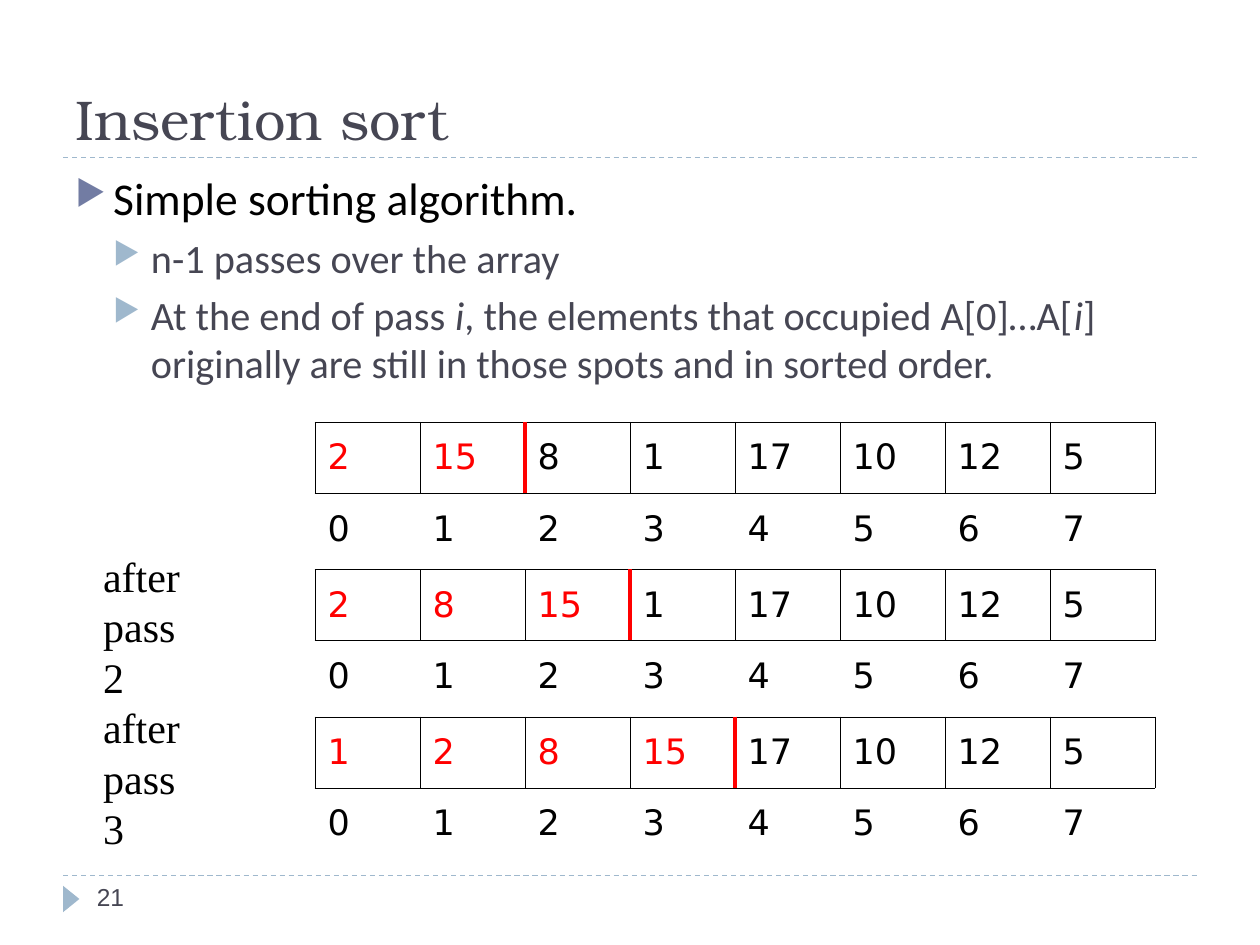
from dataclasses import dataclass

from lxml.etree import SubElement
from pptx import Presentation
from pptx.dml.color import RGBColor
from pptx.enum.dml import MSO_LINE
from pptx.enum.shapes import MSO_CONNECTOR, MSO_SHAPE
from pptx.enum.text import MSO_ANCHOR
from pptx.oxml.ns import qn
from pptx.util import Inches, Pt

BLACK, RED, SLATE = "000000", "FF0000", "464653"
BLUE, VIOLET = "9FB8CD", "727CA3"


@dataclass
class Item:
    """A bullet; every second one of its texts is italic."""
    texts: list[str]
    level: int
    size: int
    color: str
    mark: str
    before: int


@dataclass
class Stage:
    """The array after one pass; the first `done` values are in order."""
    values: list[int]
    done: int
    label: list[str]


ITEMS = [
    Item(["Simple sorting algorithm."], 0, 26, BLACK, VIOLET, 6),
    Item(["n-1 passes over the array"], 1, 23, SLATE, BLUE, 5),
    Item(["At the end of pass ", "i", ", the elements that occupied A[0]…A[", "i",
          "] originally are still in those spots and in sorted order."],
         1, 23, SLATE, BLUE, 5),
]
STAGES = [
    Stage([2, 15, 8, 1, 17, 10, 12, 5], 2, []),
    Stage([2, 8, 15, 1, 17, 10, 12, 5], 3, ["after", "pass 2"]),
    Stage([1, 2, 8, 15, 17, 10, 12, 5], 4, ["after", "pass 3"]),
]


def paint(color: str) -> RGBColor:
    return RGBColor.from_string(color)


def write(para, text: str, *, size: int, font: str, color: str = BLACK,
          italic: bool = False) -> None:
    run = para.add_run()
    run.text = text
    run.font.size = Pt(size)
    run.font.name = font
    run.font.italic = italic
    run.font.color.rgb = paint(color)


def add_box(slide, left: float, top: float, width: float, height: float,
            wrap: bool = True):
    box = slide.shapes.add_textbox(
        Inches(left), Inches(top), Inches(width), Inches(height))
    box.text_frame.word_wrap = wrap
    return box.text_frame


def next_para(frame, index: int):
    """Return the frame's own first paragraph, then new ones."""
    return frame.add_paragraph() if index else frame.paragraphs[0]


def add_rule(slide, top: float) -> None:
    rule = slide.shapes.add_connector(
        MSO_CONNECTOR.STRAIGHT, Inches(0.5), Inches(top), Inches(9.5), Inches(top))
    rule.line.color.rgb = paint(BLUE)
    rule.line.width = Pt(0.75)
    rule.line.dash_style = MSO_LINE.DASH
    SubElement(rule._element.spPr, qn("a:effectLst"))


def add_marker(slide) -> None:
    mark = slide.shapes.add_shape(
        MSO_SHAPE.ISOSCELES_TRIANGLE,
        Inches(0.46), Inches(7.07), Inches(0.21), Inches(0.13))
    mark.rotation = 90
    mark.shadow.inherit = False
    mark.fill.solid()
    mark.fill.fore_color.rgb = paint(BLUE)
    mark.line.fill.background()


def set_bullet(para, item: Item) -> None:
    props = para._p.get_or_add_pPr()
    props.set("marL", str(Inches(0.3 * (item.level + 1))))
    props.set("indent", str(Inches(-0.3)))
    color = SubElement(props, qn("a:buClr"))
    SubElement(color, qn("a:srgbClr"), val=item.mark)
    SubElement(props, qn("a:buSzPct"), val="76000")
    SubElement(props, qn("a:buChar"), char="▶")


def add_list(slide, items: list[Item]) -> None:
    frame = add_box(slide, 0.5, 1.3, 9, 4.95)
    for index, item in enumerate(items):
        para = next_para(frame, index)
        para.level = item.level
        para.space_before = Pt(item.before)
        set_bullet(para, item)
        for place, text in enumerate(item.texts):
            write(para, text, size=item.size, font="Calibri",
                  color=item.color, italic=place % 2 == 1)


def set_edge(cell, side: str, color: str | None, width: float = 0.45) -> None:
    """Draw one cell border, or hide it when color is None."""
    props = cell._tc.get_or_add_tcPr()
    edge = SubElement(props, qn(f"a:ln{side}"), w=str(Pt(width)))
    if color is None:
        SubElement(edge, qn("a:noFill"))
    else:
        fill = SubElement(edge, qn("a:solidFill"))
        SubElement(fill, qn("a:srgbClr"), val=color)


def fill_cell(cell, text: str, color: str, edges: dict[str, tuple]) -> None:
    for side, edge in edges.items():
        set_edge(cell, side, *edge)
    cell.fill.background()
    cell.vertical_anchor = MSO_ANCHOR.MIDDLE
    para = cell.text_frame.paragraphs[0]
    para.space_before = Pt(5)
    write(para, text, size=20, font="DejaVu Sans", color=color)


def add_array(slide, stage: Stage, top: float) -> None:
    count = len(stage.values)
    table = slide.shapes.add_table(
        2, count, Inches(2.5), Inches(top), Inches(6.67), Inches(1.13)).table
    table.first_row = table.horz_banding = False
    thin, thick, none = (BLACK, 0.45), (RED, 3), (None,)
    for col, value in enumerate(stage.values):
        left = thick if col == stage.done else thin
        right = thick if col + 1 == stage.done else thin
        fill_cell(table.cell(0, col), str(value),
                  RED if col < stage.done else BLACK,
                  {"L": left, "R": right, "T": thin, "B": thin})
        fill_cell(table.cell(1, col), str(col), BLACK,
                  {"L": none, "R": none, "T": thin, "B": none})


def add_label(slide, lines: list[str], top: float) -> None:
    frame = add_box(slide, 0.72, top, 1.02, 0.9, wrap=False)
    for index, line in enumerate(lines):
        write(next_para(frame, index), line, size=24, font="Times New Roman")


def main() -> None:
    deck = Presentation()
    deck.slide_width, deck.slide_height = Inches(10), Inches(7.5)
    slide = deck.slides.add_slide(deck.slide_layouts[6])

    for top in (6.95, 1.25):
        add_rule(slide, top)
    add_marker(slide)

    title = add_box(slide, 0.5, 0.17, 9, 1.08)
    title.vertical_anchor = MSO_ANCHOR.BOTTOM
    write(title.paragraphs[0], "Insertion sort",
          size=32, font="TeX Gyre Bonum", color=SLATE)
    number = add_box(slide, 0.67, 6.95, 2.17, 0.4)
    write(number.paragraphs[0], "21", size=14, font="Arial", color=SLATE)

    add_list(slide, ITEMS)
    for index, stage in enumerate(STAGES):
        add_array(slide, stage, 3.35 + 1.17 * index)
        if stage.label:
            add_label(slide, stage.label, 3.12 + 1.2 * index)
    deck.save("out.pptx")


if __name__ == "__main__":
    main()
